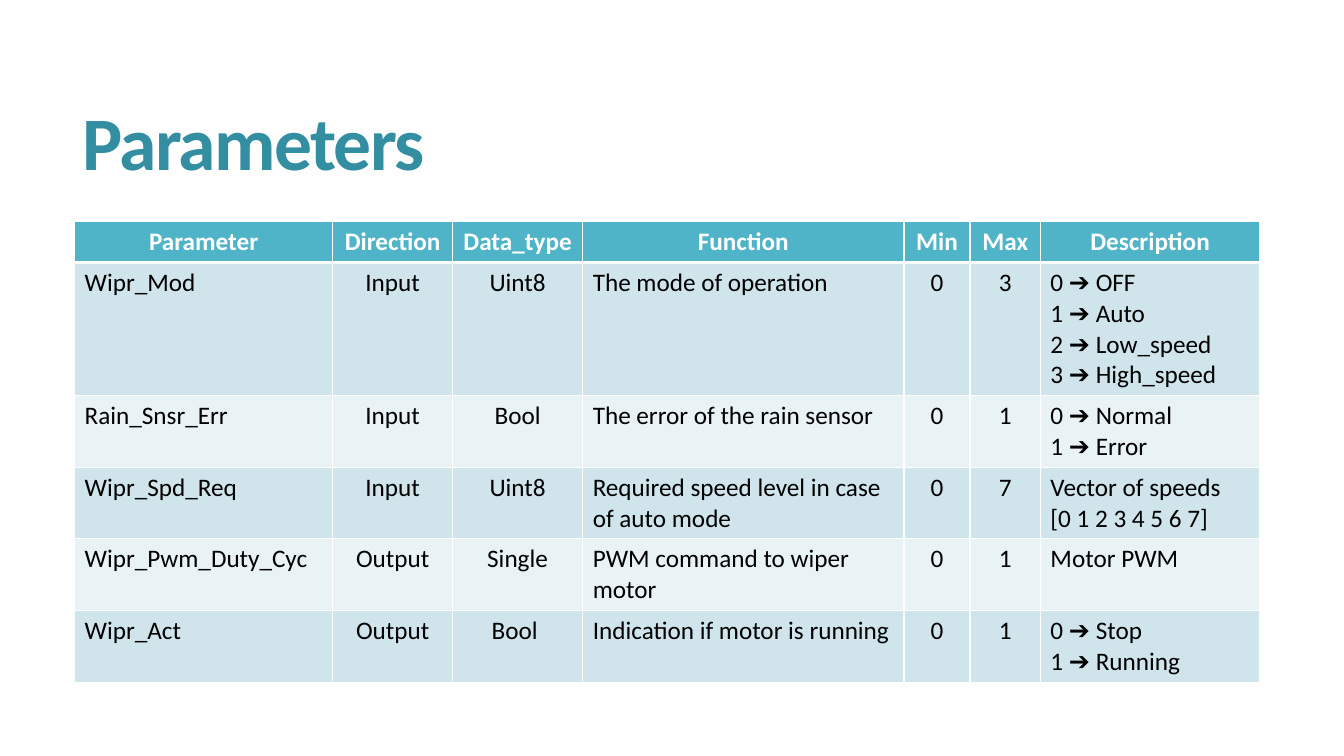
from dataclasses import astuple, dataclass

from lxml.etree import SubElement
from pptx import Presentation
from pptx.dml.color import RGBColor
from pptx.enum.text import MSO_ANCHOR as Anchor, MSO_AUTO_SIZE as AutoSize, PP_ALIGN as Align
from pptx.oxml.ns import qn
from pptx.slide import Slide
from pptx.table import _Cell as Cell
from pptx.text.text import Font
from pptx.util import Pt

EMU_PER_PX = 9525
FONT_NAME = "Calibri"
WHITE, BLACK = "FFFFFF", "000000"
TITLE_TEAL, HEADER_TEAL = "328EA0", "50B4C8"
BAND_FILLS = ("D0E5EB", "E9F2F5")
COLUMN_WIDTHS = (246, 114, 124, 306, 63, 67, 209)
LEFT_COLUMNS = (0, 3, 6)
LINE_HEIGHT, CELL_PADDING = 29, 10


@dataclass(frozen=True)
class Parameter:
    name: str
    direction: str
    data_type: str
    function: str
    minimum: str
    maximum: str
    description: str
    lines: int


HEADER = Parameter("Parameter", "Direction", "Data_type", "Function", "Min", "Max", "Description", 1)
PARAMETERS = (
    Parameter("Wipr_Mod", "Input", "Uint8", "The mode of operation", "0", "3",
              "0 ➔ OFF\n1 ➔ Auto\n2 ➔ Low_speed\n3 ➔ High_speed", 4),
    Parameter("Rain_Snsr_Err", "Input", "Bool", "The error of the rain sensor", "0", "1",
              "0 ➔ Normal\n1 ➔ Error", 2),
    Parameter("Wipr_Spd_Req", "Input", "Uint8", "Required speed level in case of auto mode", "0", "7",
              "Vector of speeds\n[0 1 2 3 4 5 6 7]", 2),
    Parameter("Wipr_Pwm_Duty_Cyc", "Output", "Single", "PWM command to wiper motor", "0", "1",
              "Motor PWM", 2),
    Parameter("Wipr_Act", "Output", "Bool ", "Indication if motor is running", "0", "1",
              "0 ➔ Stop\n1 ➔ Running", 2),
)


def px(length: int) -> int:
    return length * EMU_PER_PX


def color(code: str) -> RGBColor:
    return RGBColor.from_string(code)


def style_font(font: Font, size: int, code: str, bold: bool) -> None:
    font.name = FONT_NAME
    font.size = Pt(size)
    font.bold = bold
    font.color.rgb = color(code)


def add_borders(cell: Cell, top: int, bottom: int) -> None:
    properties = cell._tc.get_or_add_tcPr()
    for side, points in (("L", 1), ("R", 1), ("T", top), ("B", bottom)):
        border = SubElement(properties, qn(f"a:ln{side}"), w=str(Pt(points)))
        SubElement(SubElement(border, qn("a:solidFill")), qn("a:srgbClr"), val=WHITE)


def fill_cell(cell: Cell, text: str, row: int, column: int) -> None:
    is_header = row == 0
    add_borders(cell, top=3 if row == 1 else 1, bottom=3 if is_header else 1)
    cell.fill.solid()
    cell.fill.fore_color.rgb = color(HEADER_TEAL if is_header else BAND_FILLS[(row - 1) % 2])
    cell.text_frame.text = text
    for paragraph in cell.text_frame.paragraphs:
        paragraph.alignment = Align.LEFT if column in LEFT_COLUMNS and not is_header else Align.CENTER
        for run in paragraph.runs:
            style_font(run.font, 18, WHITE if is_header else BLACK, is_header)


def draw_title(slide: Slide) -> None:
    title = slide.shapes.title
    title.left, title.top, title.width, title.height = map(px, (69, 53, 1131, 174))
    frame = title.text_frame
    frame.text = "Parameters"
    frame.auto_size = AutoSize.NONE
    frame.vertical_anchor = Anchor.MIDDLE
    heading = frame.paragraphs[0]
    heading.alignment = Align.LEFT
    heading.line_spacing = 0.85
    style_font(heading.runs[0].font, 54, TITLE_TEAL, True)
    heading.runs[0]._r.get_or_add_rPr().set("spc", "-120")


def draw_parameters(slide: Slide) -> None:
    entries = (HEADER, *PARAMETERS)
    heights = [CELL_PADDING + LINE_HEIGHT * entry.lines for entry in entries]
    grid = slide.shapes.add_table(
        len(entries), len(COLUMN_WIDTHS), px(71), px(211), px(sum(COLUMN_WIDTHS)), px(sum(heights))
    ).table
    for column, width in zip(grid.columns, COLUMN_WIDTHS):
        column.width = px(width)
    for row, (entry, height) in enumerate(zip(entries, heights)):
        grid.rows[row].height = px(height)
        for column, text in enumerate(astuple(entry)[:-1]):
            fill_cell(grid.cell(row, column), text, row, column)
    grid.cell(len(PARAMETERS), len(COLUMN_WIDTHS) - 1).vertical_anchor = Anchor.MIDDLE


def main() -> None:
    deck = Presentation()
    deck.slide_width, deck.slide_height = px(1280), px(720)
    slide = deck.slides.add_slide(deck.slide_layouts.get_by_name("Title Only"))
    draw_title(slide)
    draw_parameters(slide)
    deck.save("out.pptx")


if __name__ == "__main__":
    main()
